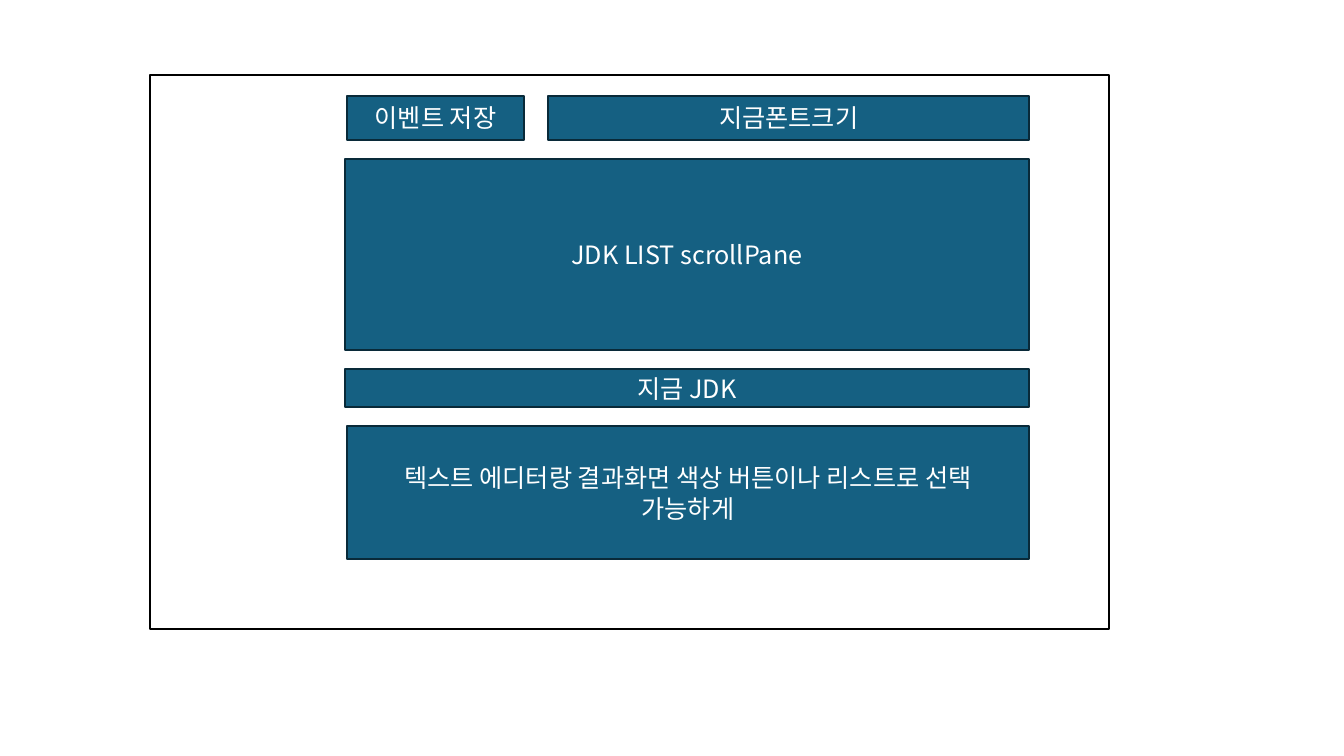
from lxml.etree import SubElement
from pptx import Presentation
from pptx.dml.color import RGBColor as Color
from pptx.enum.shapes import MSO_SHAPE as Preset
from pptx.enum.text import MSO_ANCHOR as Anchor, PP_ALIGN as Align
from pptx.oxml.ns import qn
from pptx.util import Pt

COLORS = {
    "white": "FFFFFF",
    "frame": "000000",
    "panel": "156082",
    "panel_line": "092A39",
}
FONT_NAME = "Noto Sans CJK KR"
FONT_FORMAT = {"name": FONT_NAME, "size": Pt(18)}

# Layout of the settings window, in points
FRAME = (107.28, 53.28, 684.72, 396)
PANELS_TOP = 68.4
PANELS_RIGHT = 735.12
ROW_GAP = 13.68

# Each row: height, then panels as (left, right, label)
ROWS = [
    (31.68, [(247.68, 374.4, "이벤트 저장"),
             (391.68, PANELS_RIGHT, "지금폰트크기")]),
    (136.08, [(246.24, PANELS_RIGHT, "JDK LIST scrollPane")]),
    (27.36, [(246.24, PANELS_RIGHT, "지금 JDK")]),
    (95.04, [(247.68, PANELS_RIGHT,
              "텍스트 에디터랑 결과화면 색상 버튼이나 리스트로 선택 가능하게")]),
]


def color(name):
    return Color.from_string(COLORS[name])


def add_box(slide, bounds, fill, line):
    shape = slide.shapes.add_shape(Preset.RECTANGLE, *map(Pt, bounds))
    shape.shadow.inherit = False
    shape.fill.solid()
    shape.fill.fore_color.rgb = color(fill)
    shape.line.color.rgb = color(line)
    shape.line.width = Pt(1.5)
    return shape


def add_label(shape, text):
    frame = shape.text_frame
    frame.word_wrap = True
    frame.vertical_anchor = Anchor.MIDDLE
    paragraph = frame.paragraphs[0]
    paragraph.alignment = Align.CENTER
    run = paragraph.add_run()
    run.text = text
    for attribute, value in FONT_FORMAT.items():
        setattr(run.font, attribute, value)
    run.font.color.rgb = color("white")
    # Hangul takes the East Asian typeface
    SubElement(run._r.get_or_add_rPr(), qn("a:ea"), typeface=FONT_NAME)


def add_rows(slide):
    top = PANELS_TOP
    for height, panels in ROWS:
        for left, right, text in panels:
            bounds = (left, top, right - left, height)
            add_label(add_box(slide, bounds, "panel", "panel_line"), text)
        top += height + ROW_GAP


def main():
    presentation = Presentation()
    presentation.slide_width = Pt(960)
    presentation.slide_height = Pt(540)
    slide = presentation.slides.add_slide(presentation.slide_layouts[6])

    # Window frame, then the panels stacked inside it
    add_box(slide, FRAME, "white", "frame")
    add_rows(slide)

    presentation.save("out.pptx")


if __name__ == "__main__":
    main()
